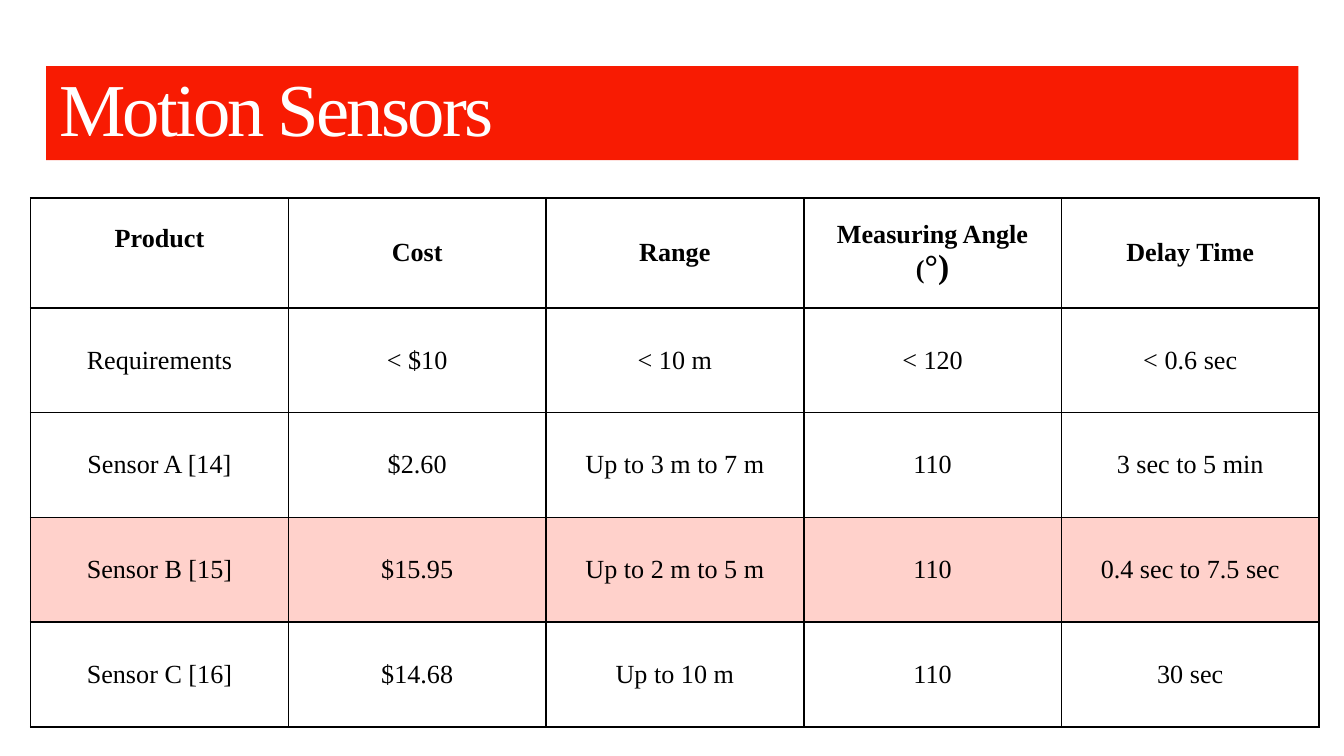
from lxml import etree
from pptx import Presentation
from pptx import util as u
from pptx.dml.color import RGBColor
from pptx.enum import text
from pptx.oxml import ns

COLORS = {"banner": "F81B02", "white": "FFFFFF", "ink": "000000", "chosen": "FFD1CB"}
FONT = "Times New Roman"
HEADER = [
    [("Product", 14)],
    [("Cost", 14)],
    [("Range", 14)],
    [("Measuring Angle (", 14), ("°)", 18)],
    [("Delay Time", 14)],
]
ROWS = [
    ["Requirements", "< $10", "< 10 m", "< 120", "< 0.6 sec"],
    ["Sensor A [14]", "$2.60", "Up to 3 m to 7 m", "110", "3 sec to 5 min"],
    ["Sensor B [15]", "$15.95", "Up to 2 m to 5 m", "110", "0.4 sec to 7.5 sec"],
    ["Sensor C [16]", "$14.68", "Up to 10 m", "110", "30 sec"],
]
CHOSEN_ROW = 3


def color(name):
    return RGBColor.from_string(COLORS[name])


def add_run(p, content, size, ink, bold=False):
    r = p.add_run()
    r.text = content
    r.font.name = FONT
    r.font.size = u.Pt(size)
    r.font.bold = bold
    r.font.color.rgb = color(ink)
    return r


def add_title(s, content):
    sp = s.shapes.title
    sp.left, sp.top, sp.width, sp.height = u.Cm(0.87), u.Cm(1.25), u.Cm(23.67), u.Cm(1.78)
    sp.fill.solid()
    sp.fill.fore_color.rgb = color("banner")
    tf = sp.text_frame
    tf.auto_size = text.MSO_AUTO_SIZE.NONE
    tf.vertical_anchor = text.MSO_ANCHOR.MIDDLE
    tf.margin_left = tf.margin_right = tf.margin_top = tf.margin_bottom = u.Cm(0.25)
    p = tf.paragraphs[0]
    p.alignment = text.PP_ALIGN.LEFT
    p.line_spacing = 0.85
    r = add_run(p, content, 40, "white")
    r.font._element.set("spc", "-150")


def add_borders(cell):
    tc_pr = cell._tc.get_or_add_tcPr()
    for side in ("lnL", "lnR", "lnT", "lnB"):
        ln = etree.SubElement(tc_pr, ns.qn(f"a:{side}"), w=str(u.Pt(1)))
        fill = etree.SubElement(ln, ns.qn("a:solidFill"))
        etree.SubElement(fill, ns.qn("a:srgbClr"), val=COLORS["ink"])


def fill_cell(cell, runs, background, bold):
    add_borders(cell)
    cell.fill.solid()
    cell.fill.fore_color.rgb = color(background)
    cell.vertical_anchor = text.MSO_ANCHOR.MIDDLE
    p = cell.text_frame.paragraphs[0]
    p.alignment = text.PP_ALIGN.CENTER
    for content, size in runs:
        add_run(p, content, size, "ink", bold)


def add_sensor_table(s):
    rows = [HEADER] + [[[(value, 14)] for value in row] for row in ROWS]
    frame = s.shapes.add_table(
        len(rows), len(HEADER), u.Cm(0.58), u.Cm(3.74), u.Cm(24.35), u.Cm(10)
    )
    table = frame.table
    table.first_row = table.horz_banding = False
    for column in table.columns:
        column.width = u.Cm(4.87)
    for i, row in enumerate(rows):
        table.rows[i].height = u.Cm(1.98 if i else 2.08)
        background = "chosen" if i == CHOSEN_ROW else "white"
        for j, runs in enumerate(row):
            fill_cell(table.cell(i, j), runs, background, i == 0)
    table.cell(0, 0).margin_bottom = u.Cm(0.66)


def main():
    prs = Presentation()
    prs.slide_width, prs.slide_height = u.Cm(25.4), u.Cm(14.29)
    s = prs.slides.add_slide(prs.slide_layouts[5])
    add_title(s, "Motion Sensors")
    add_sensor_table(s)
    prs.save("out.pptx")


if __name__ == "__main__":
    main()
